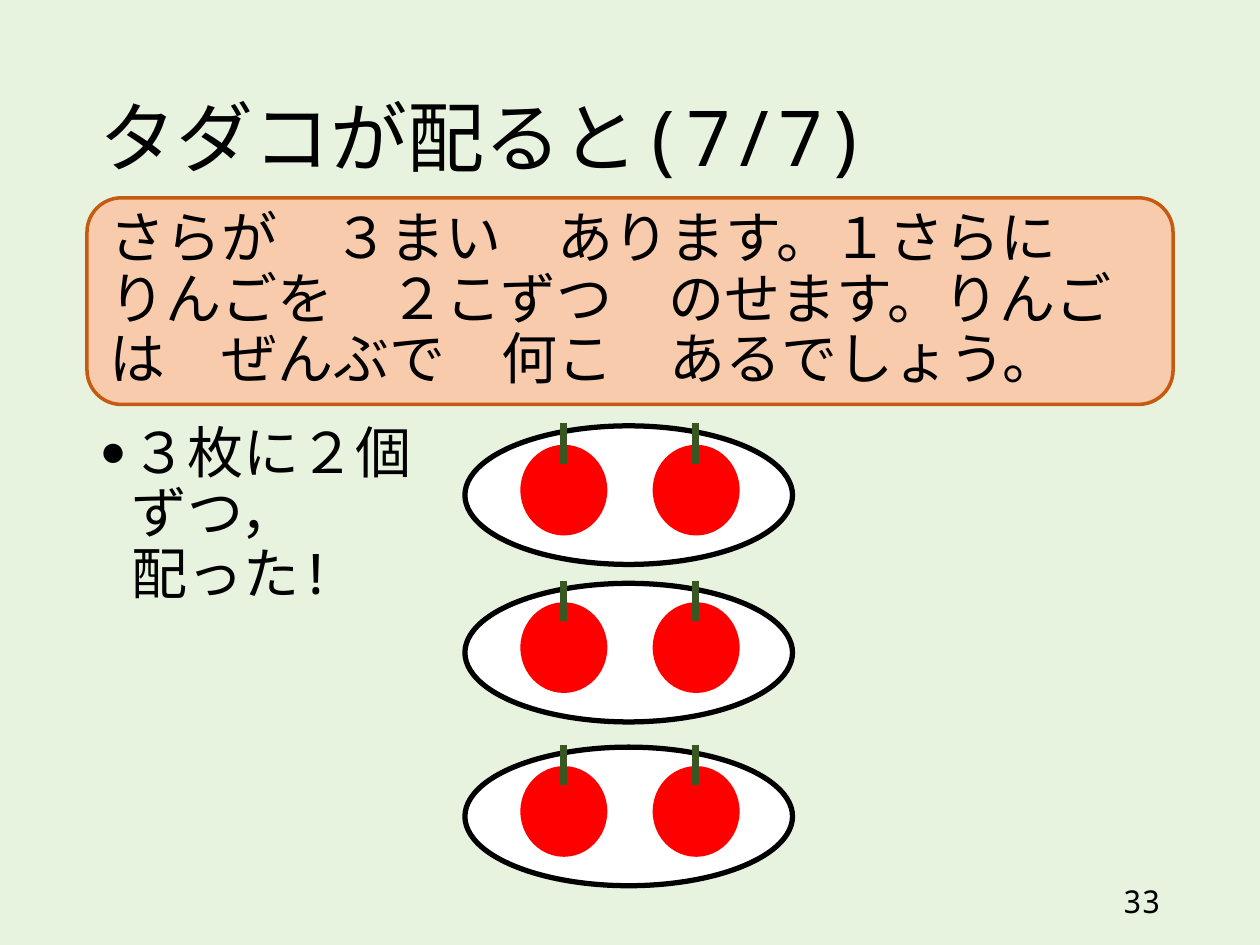
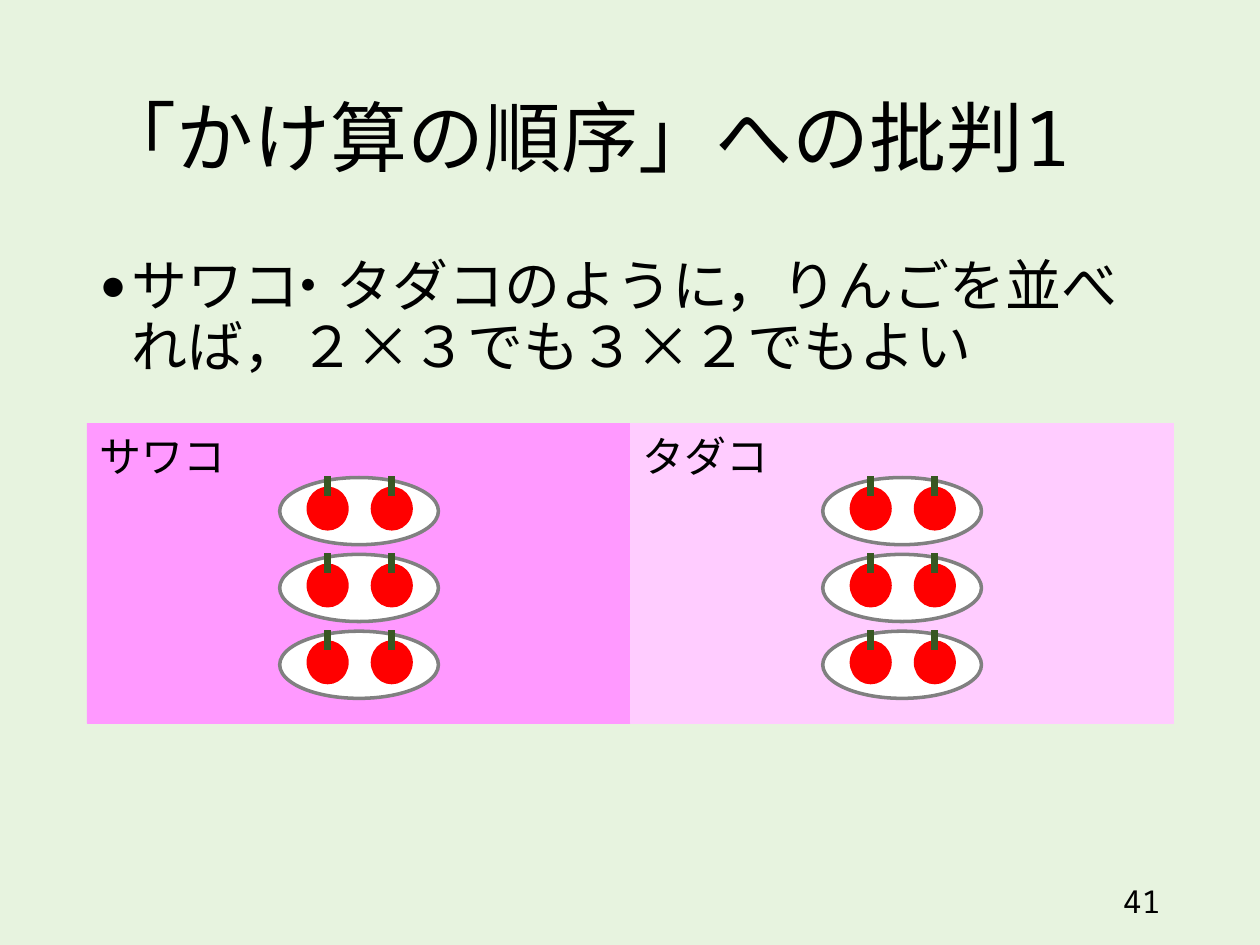
from lxml.etree import SubElement
from pptx import Presentation
from pptx.dml.color import RGBColor
from pptx.enum.shapes import MSO_CONNECTOR, MSO_SHAPE
from pptx.enum.text import MSO_ANCHOR, MSO_AUTO_SIZE, PP_ALIGN
from pptx.oxml.ns import qn
from pptx.util import Inches, Pt

MONO, SANS = "Noto Sans Mono", "Noto Sans CJK JP"
BLACK, WHITE, RED, GREEN = "000000", "FFFFFF", "FF0000", "385723"
LEFT, WIDE = 0.69, 8.62
TIGHT = {"line_spacing": 0.9, "space_before": Pt(0), "alignment": PP_ALIGN.LEFT}
RIGHT = {"alignment": PP_ALIGN.RIGHT}
MID = {"vertical_anchor": MSO_ANCHOR.MIDDLE, "word_wrap": True,
       "auto_size": MSO_AUTO_SIZE.NONE}
TOP = {**MID, "vertical_anchor": MSO_ANCHOR.TOP}
LABEL = {"word_wrap": False, "auto_size": MSO_AUTO_SIZE.SHAPE_TO_FIT_TEXT}


def tint(fill, tone):
    fill.solid()
    fill.fore_color.rgb = RGBColor.from_string(tone)


def write(frame, parts, size, look, form, mark=None):
    for key, val in look.items():
        setattr(frame, key, val)
    para = frame.paragraphs[0]
    for key, val in form.items():
        setattr(para, key, val)
    if mark:
        props = para._p.get_or_add_pPr()
        props.set("marL", str(Inches(0.25)))
        props.set("indent", str(-Inches(0.25)))
        SubElement(props, qn("a:buSzPct"), val="80000")
        SubElement(props, qn("a:buChar"), char=mark)
    for text, face, *space in parts:
        for row, piece in enumerate(text.split("\n")):
            if row:
                para.add_line_break()
            run = para.add_run()
            run.text = piece
            for key, val in {"size": Pt(size), "name": face}.items():
                setattr(run.font, key, val)
            tint(run.font.fill, BLACK)
            props = run._r.get_or_add_rPr()
            SubElement(props, qn("a:ea"), typeface=face)
            for gap in space:
                props.set("spc", str(gap))


deck = Presentation()
deck.slide_width, deck.slide_height = Inches(10), Inches(7.5)
tint(deck.slide_master.background.fill, "E7F3DF")

pages = [
    ("33", "タダコが配ると(7/7)", 3.32, 3.43,
     [("３", SANS), ("枚に", MONO), ("２", SANS), ("個\nずつ，\n配った!", MONO)]),
    ("41", "「かけ算の順序」への批判1", 2, 4.76,
     [("サワ", MONO), ("コ・", MONO, -1090),
      ("タダコのように，りんごを並べれば，", MONO), ("２×３", SANS),
      ("でも", MONO), ("３×２", SANS), ("でもよい", MONO)]),
]
slides = []
for num, head, top, high, parts in pages:
    slide = deck.slides.add_slide(deck.slide_layouts[1])
    slides.append(slide)
    title, body = slide.shapes.title, slide.placeholders[1]
    foot = slide.shapes.add_textbox(0, 0, 0, 0)
    for item, box in ((title, (LEFT, 0.4, WIDE, 1.45)),
                      (body, (LEFT, top, WIDE, high)),
                      (foot, (7.06, 6.95, 2.25, 0.4))):
        for key, val in zip(("left", "top", "width", "height"), box):
            setattr(item, key, Inches(val))
    write(title.text_frame, [(head, MONO)], 44, MID, TIGHT)
    write(body.text_frame, parts, 32, TOP, TIGHT, "●")
    write(foot.text_frame, [(num, MONO)], 18, MID, RIGHT)

first, last = slides
quiz = "さらが　３まい　あります。１さらに　りんごを　２こずつ　のせます。りんごは　ぜんぶで　何こ　あるでしょう。"
sides = [("サワコ", LEFT, "FF99FF"), ("タダコ", 5, "FFCCFF")]

forms = [(first.shapes, MSO_SHAPE.ROUNDED_RECTANGLE, (LEFT, 1.57, WIDE, 1.64),
          "F8CBAD", "C55A11", 2, quiz)]
for name, x, tone in sides:
    forms.append((last.shapes, MSO_SHAPE.RECTANGLE, (x, 3.36, 4.31, 2.38),
                  tone, tone, 0.5, None))

plates = [(first, 3.69, y, 2.6, BLACK, 3) for y in (3.38, 4.63, 5.93)]
plates += [(last, x + 1.53, 3.79 + 0.61 * n, 1.26, "808080", 2)
           for name, x, tone in sides for n in range(3)]
stems = []
for slide, x, y, wide, edge, thick in plates:
    unit = wide / 2.6
    forms.append((slide.shapes, MSO_SHAPE.OVAL, (x, y, wide, 1.1 * unit),
                  WHITE, edge, thick, None))
    for gap in (0.44, 1.49):
        forms.append((slide.shapes, MSO_SHAPE.OVAL,
                      (x + gap * unit, y + 0.15 * unit, 0.69 * unit, 0.72 * unit),
                      RED, None, 0, None))
        mid = x + (gap + 0.34) * unit
        stems.append((slide, mid, y - 0.02 * unit, mid, y + 0.3 * unit))

for host, kind, box, tone, edge, thick, text in forms:
    shape = host.add_shape(kind, *map(Inches, box))
    shape.shadow.inherit = False
    tint(shape.fill, tone)
    if edge:
        tint(shape.line.fill, edge)
        shape.line.width = Pt(thick)
    else:
        shape.line.fill.background()
    if text:
        write(shape.text_frame, [(text, SANS)], 32, MID, TIGHT)

for slide, *ends in stems:
    stem = slide.shapes.add_connector(MSO_CONNECTOR.STRAIGHT, *map(Inches, ends))
    tint(stem.line.fill, GREEN)
    stem.line.width = Pt(4)
    SubElement(stem._element.spPr, qn("a:effectLst"))

for name, x, tone in sides:
    label = last.shapes.add_textbox(*map(Inches, (x, 3.37, 1.21, 0.5)))
    write(label.text_frame, [(name, MONO)], 24, LABEL, {})

deck.save("out.pptx")
